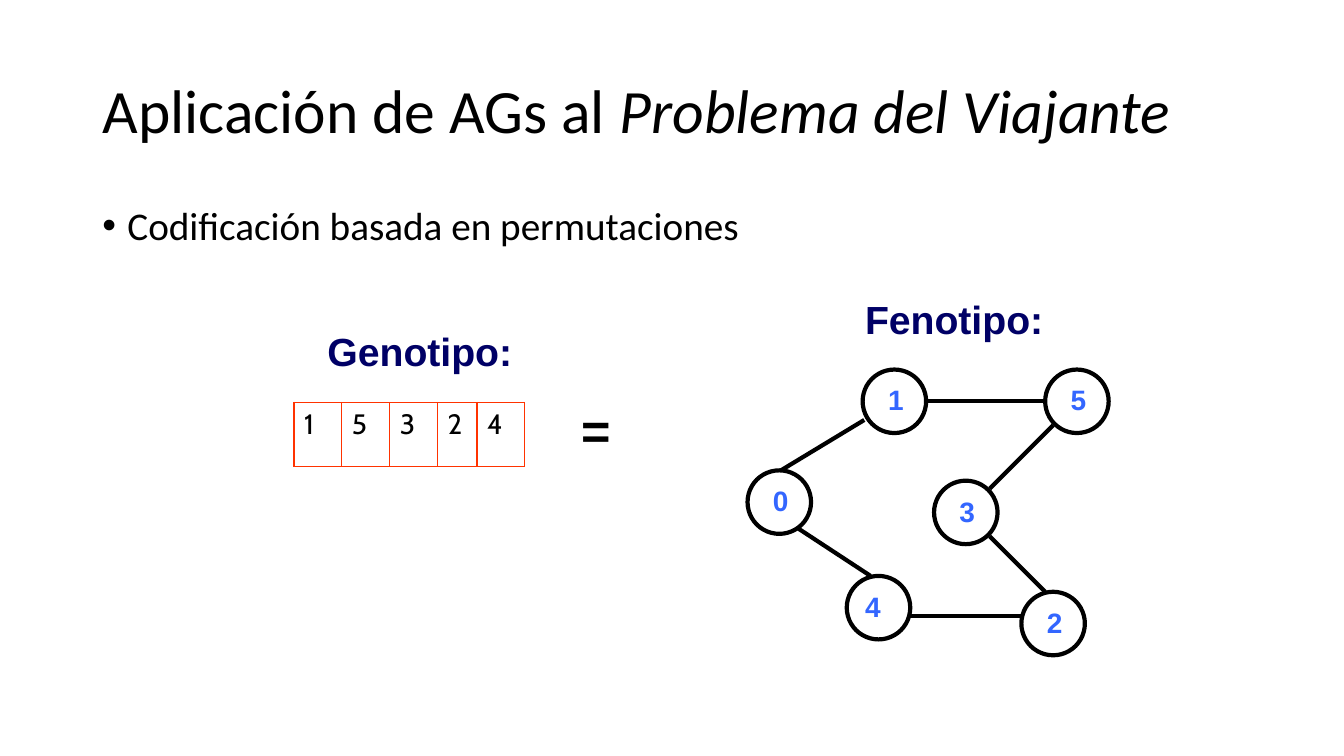
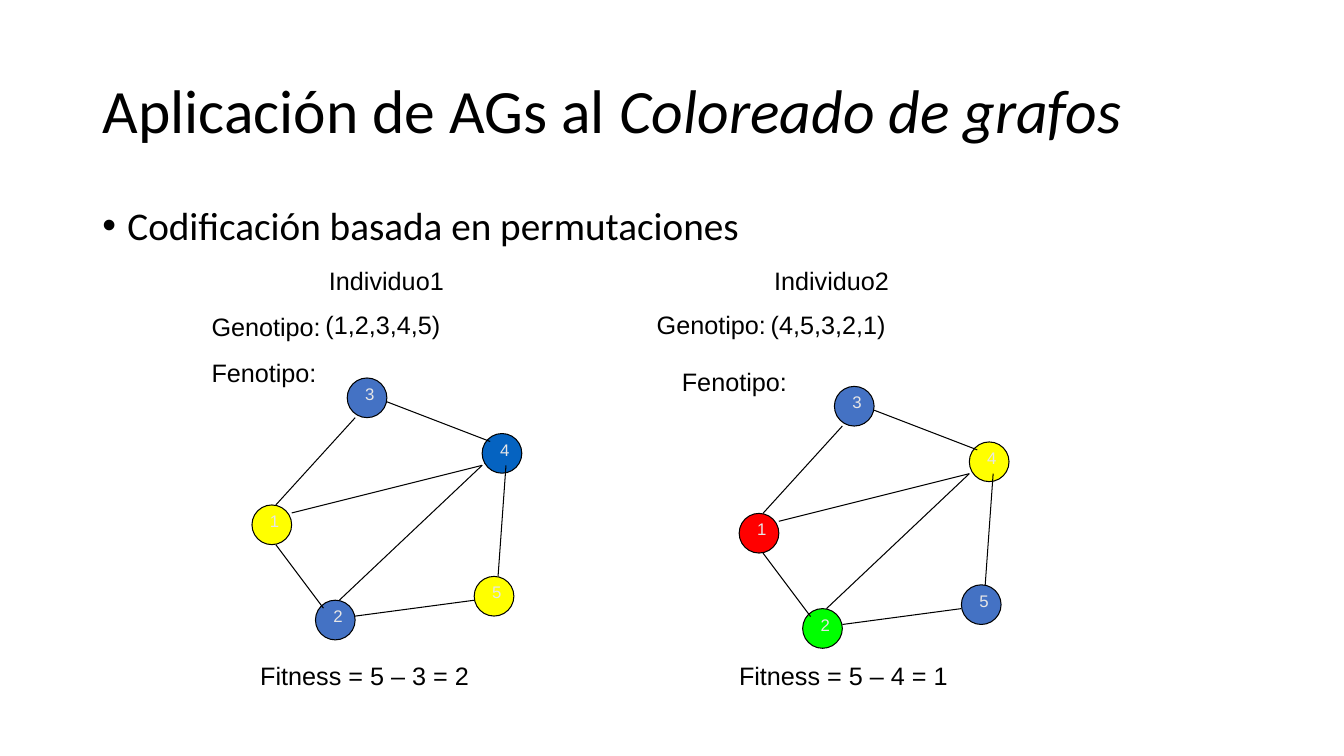
"""Build two slides on genetic algorithms that encode solutions as permutations."""

from dataclasses import dataclass

import lxml.etree
import pptx
import pptx.dml.color
import pptx.enum.shapes
import pptx.enum.text
import pptx.oxml.ns
import pptx.util

RGBColor = pptx.dml.color.RGBColor
BLACK = RGBColor(0x00, 0x00, 0x00)
NAVY = RGBColor(0x00, 0x00, 0x66)
CITY_BLUE = RGBColor(0x33, 0x66, 0xFF)
PALE_GRAY = RGBColor(0xE7, 0xE6, 0xE6)
BORDER_RED = RGBColor(0xFF, 0x33, 0x00)
BLUE = RGBColor(0x44, 0x72, 0xC4)
DEEP_BLUE = RGBColor(0x05, 0x63, 0xC1)
YELLOW = RGBColor(0xFF, 0xFF, 0x00)
RED = RGBColor(0xFF, 0x00, 0x00)
GREEN = RGBColor(0x00, 0xFF, 0x00)

COLUMNS, ROWS = 160, 90
CELL = pptx.util.Inches(1 / 12)
GRAPH_CELL = pptx.util.Cm(0.2)
TITLE_ONLY = 5
LEFT = pptx.enum.text.PP_ALIGN.LEFT
CENTER = pptx.enum.text.PP_ALIGN.CENTER


@dataclass(frozen=True)
class Area:
    """Columns and rows of the slide grid."""

    column: float
    row: float
    columns: float
    rows: float

    def lengths(self) -> list[int]:
        return [round(n * CELL) for n in (self.column, self.row, self.columns, self.rows)]


@dataclass(frozen=True)
class Style:
    """Character format of a run."""

    size: float
    color: RGBColor = BLACK
    font: str = "Arial"
    bold: bool = False
    italic: bool = False


@dataclass(frozen=True)
class Node:
    """Numbered node at a column and row of the graph grid."""

    label: str
    column: float
    row: float
    inset: float


@dataclass(frozen=True)
class Edge:
    """Line between two points of the graph grid."""

    x1: float
    y1: float
    x2: float
    y2: float


@dataclass(frozen=True)
class Graph:
    """Nodes and edges with their common look."""

    nodes: tuple[Node, ...]
    edges: tuple[Edge, ...]
    diameter: float
    line_width: float
    top_inset: float
    label_style: Style


@dataclass(frozen=True)
class Individual:
    """One candidate colouring and the places of its parts."""

    name: str
    genotype: str
    fitness: str
    heading: Area
    genotype_label: Area
    phenotype_label: Area
    fitness_area: Area
    graph_origin: tuple[float, float]
    fills: dict[str, RGBColor]


TITLE_AREA = Area(11, 4.8, 138, 17.4)
BULLET_AREA = Area(11, 24, 138, 57)
TITLE = Style(44, font="Calibri")
TITLE_ITALIC = Style(44, font="Calibri", italic=True)
BULLET = Style(28, font="Calibri")
CAPTION = Style(28, NAVY, bold=True)
EQUALS = Style(36, bold=True)
GENE = Style(20, font="Cabin")
NOTE = Style(18)

TOUR = Graph(
    nodes=(
        Node("1", 14.5, 0, 0.16), Node("5", 37.5, 0, 0.16),
        Node("4", 12.5, 26, 0.09), Node("2", 34.5, 28, 0.16),
        Node("3", 23.5, 14, 0.16), Node("0", 0, 12.7, 0.16),
    ),
    edges=(
        Edge(22.5, 4, 37.5, 4), Edge(38.5, 7, 30.5, 15),
        Edge(30.5, 21, 37.5, 28), Edge(20.5, 31, 34.5, 31),
        Edge(15.5, 26, 6.35, 20), Edge(4.2, 12.7, 14.7, 6.35),
    ),
    diameter=8, line_width=3, top_inset=0.04,
    label_style=Style(20, CITY_BLUE, bold=True),
)
COLORED = Graph(
    nodes=(
        Node("3", 12, 0, 0.12), Node("1", 0, 16, 0.12), Node("4", 29, 7, 0.12),
        Node("5", 28, 25, 0.12), Node("2", 8, 28, 0.12),
    ),
    edges=(
        Edge(3, 16, 13, 5), Edge(17, 3, 30, 8), Edge(3, 21, 9, 29),
        Edge(13, 30, 28, 28), Edge(32, 11, 31, 25), Edge(11, 28, 29, 11),
        Edge(5, 17, 29, 11),
    ),
    diameter=5, line_width=0.75, top_inset=0,
    label_style=Style(12, PALE_GRAY),
)
GENES = {"1": 5.7, "5": 5.7, "3": 5.7, "2": 4.7, "4": 5.7}
INDIVIDUALS = (
    Individual(
        "Individuo1", "(1,2,3,4,5) ", "Fitness = 5 – 3 = 2",
        Area(25, 31, 42, 10.2), Area(24, 36.5, 22, 4.8),
        Area(24, 42, 22, 4.8), Area(25, 78, 36.8, 4.8), (30, 45),
        {"1": YELLOW, "2": BLUE, "3": BLUE, "4": DEEP_BLUE, "5": YELLOW},
    ),
    Individual(
        "Individuo2", "(4,5,3,2,1) ", "Fitness = 5 – 4 = 1",
        Area(78, 31, 42, 10.2), Area(77, 36.25, 22, 4.8),
        Area(80, 43, 22, 4.8), Area(82, 78, 36.8, 4.8), (88, 46),
        {"1": RED, "2": GREEN, "3": BLUE, "4": YELLOW, "5": BLUE},
    ),
)


def add_run(paragraph, text: str, style: Style) -> None:
    run = paragraph.add_run()
    run.text = text
    run.font.name = style.font
    run.font.size = pptx.util.Pt(style.size)
    run.font.bold = style.bold
    run.font.italic = style.italic
    run.font.color.rgb = style.color


def add_text(slide, area: Area, lines: list[str], style: Style, align=LEFT, wrap: bool = True):
    frame = slide.shapes.add_textbox(*area.lengths()).text_frame
    frame.word_wrap = wrap
    for index, line in enumerate(lines):
        paragraph = frame.add_paragraph() if index else frame.paragraphs[0]
        paragraph.alignment = align
        if index:
            paragraph.space_before = pptx.util.Pt(10)
        add_run(paragraph, line, style)
    return frame


def add_topic_slide(deck, problem: str):
    slide = deck.slides.add_slide(deck.slide_layouts[TITLE_ONLY])
    heading = slide.shapes.title
    heading.left, heading.top, heading.width, heading.height = TITLE_AREA.lengths()
    heading.text_frame.vertical_anchor = pptx.enum.text.MSO_ANCHOR.MIDDLE
    heading.text_frame.word_wrap = True
    paragraph = heading.text_frame.paragraphs[0]
    paragraph.alignment = LEFT
    paragraph.line_spacing = 0.9
    add_run(paragraph, "Aplicación de AGs al ", TITLE)
    add_run(paragraph, problem, TITLE_ITALIC)

    frame = add_text(slide, BULLET_AREA, ["Codificación basada en permutaciones"], BULLET)
    frame.paragraphs[0].line_spacing = 0.9
    properties = frame.paragraphs[0]._p.get_or_add_pPr()
    indent = pptx.util.Inches(0.25)
    properties.set("marL", str(indent))
    properties.set("indent", str(-indent))
    qn = pptx.oxml.ns.qn
    lxml.etree.SubElement(properties, qn("a:buFont"), typeface="Arial")
    lxml.etree.SubElement(properties, qn("a:buChar"), char="•")
    return slide


def add_graph(slide, graph: Graph, origin: tuple[float, float], fills: dict[str, RGBColor]) -> None:
    members = slide.shapes.add_group_shape().shapes
    left, top = (n * CELL for n in origin)
    size = round(graph.diameter * GRAPH_CELL)

    def point(column: float, row: float) -> tuple[int, int]:
        return round(left + column * GRAPH_CELL), round(top + row * GRAPH_CELL)

    for node in graph.nodes:
        circle = members.add_shape(
            pptx.enum.shapes.MSO_SHAPE.OVAL, *point(node.column, node.row), size, size
        )
        circle.shadow.inherit = False
        if node.label in fills:
            circle.fill.solid()
            circle.fill.fore_color.rgb = fills[node.label]
        else:
            circle.fill.background()
        circle.line.color.rgb = BLACK
        circle.line.width = pptx.util.Pt(graph.line_width)
        frame = circle.text_frame
        frame.word_wrap = True
        frame.vertical_anchor = pptx.enum.text.MSO_ANCHOR.TOP
        frame.margin_left = pptx.util.Inches(node.inset)
        frame.margin_top = pptx.util.Inches(graph.top_inset)
        frame.margin_right = frame.margin_bottom = 0
        frame.paragraphs[0].alignment = LEFT
        add_run(frame.paragraphs[0], node.label, graph.label_style)

    for edge in graph.edges:
        link = members.add_connector(
            pptx.enum.shapes.MSO_CONNECTOR.STRAIGHT,
            *point(edge.x1, edge.y1), *point(edge.x2, edge.y2),
        )
        link.line.color.rgb = BLACK
        link.line.width = pptx.util.Pt(graph.line_width)
        lxml.etree.SubElement(link._element.spPr, pptx.oxml.ns.qn("a:effectLst"))


def add_genotype_table(slide) -> None:
    area = Area(35, 47.9, sum(GENES.values()), 7.6)
    table = slide.shapes.add_table(1, len(GENES), *area.lengths()).table
    table.first_row = table.horz_banding = False
    qn = pptx.oxml.ns.qn
    for index, (gene, columns) in enumerate(GENES.items()):
        table.columns[index].width = round(columns * CELL)
        cell = table.cell(0, index)
        properties = cell._tc.get_or_add_tcPr()
        for side in ("a:lnL", "a:lnR", "a:lnT", "a:lnB"):
            border = lxml.etree.SubElement(properties, qn(side), w=str(pptx.util.Pt(1)))
            paint = lxml.etree.SubElement(border, qn("a:solidFill"))
            lxml.etree.SubElement(paint, qn("a:srgbClr"), val=str(BORDER_RED))
        cell.fill.background()
        add_run(cell.text_frame.paragraphs[0], gene, GENE)


def build_salesman_slide(deck) -> None:
    slide = add_topic_slide(deck, "Problema del Viajante")
    add_text(slide, Area(37.8, 38.4, 24.5, 6.8), ["Genotipo:"], CAPTION, wrap=False)
    add_genotype_table(slide)
    add_text(slide, Area(101.8, 34.6, 23.8, 6.8), ["Fenotipo:"], CAPTION, wrap=False)
    add_text(slide, Area(68, 46.9, 5.9, 8.4), ["="], EQUALS, wrap=False)
    add_graph(slide, TOUR, (89, 44), {})


def build_coloring_slide(deck) -> None:
    slide = add_topic_slide(deck, "Coloreado de grafos")
    for person in INDIVIDUALS:
        add_text(slide, person.heading, [person.name, person.genotype], NOTE, CENTER)
        add_text(slide, person.genotype_label, ["Genotipo:"], NOTE)
        add_text(slide, person.phenotype_label, ["Fenotipo:"], NOTE)
        add_graph(slide, COLORED, person.graph_origin, person.fills)
        add_text(slide, person.fitness_area, [person.fitness], NOTE, CENTER)


def main() -> None:
    deck = pptx.Presentation()
    deck.slide_width = COLUMNS * CELL
    deck.slide_height = ROWS * CELL
    build_salesman_slide(deck)
    build_coloring_slide(deck)
    deck.save("out.pptx")


if __name__ == "__main__":
    main()
